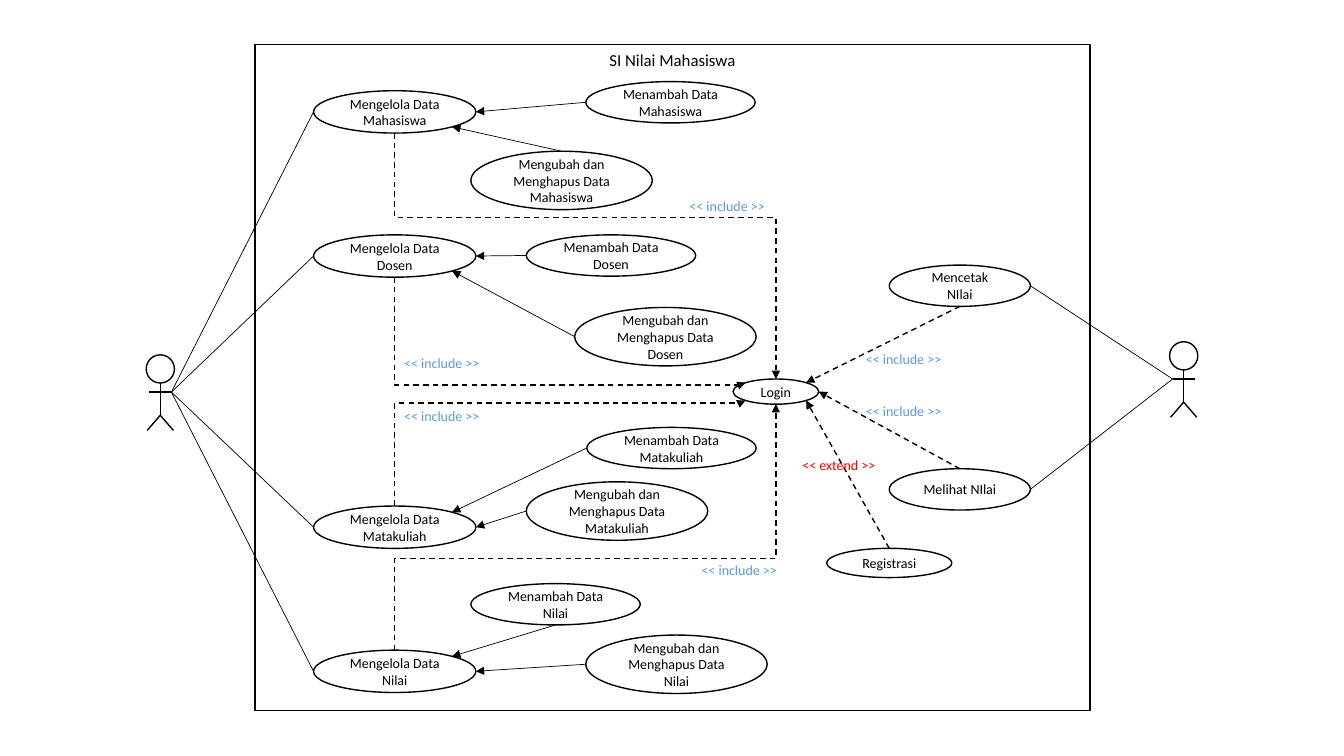
import pptx
import pptx.util
import pptx.dml.color
import pptx.enum.dml
import pptx.enum.shapes
import pptx.enum.text
import pptx.oxml.ns
import pptx.oxml.xmlchemy
from pptx.util import Inches

COLORS = {"ink": "000000", "paper": "FFFFFF", "include": "5B9BD5", "extend": "FF0000"}
SHAPE = pptx.enum.shapes.MSO_SHAPE
LINE = pptx.enum.shapes.MSO_CONNECTOR
ALIGN = pptx.enum.text.PP_ALIGN
ANCHOR = pptx.enum.text.MSO_ANCHOR
FIT = pptx.enum.text.MSO_AUTO_SIZE

DIAG = 0.7071
SITES = {"N": (0, -1), "S": (0, 1), "W": (-1, 0), "E": (1, 0),
         "NW": (-DIAG, -DIAG), "NE": (DIAG, -DIAG),
         "SW": (-DIAG, DIAG), "SE": (DIAG, DIAG)}

MANAGE, ADD, EDIT, VIEW = (1.61, 0.42), (1.68, 0.41), (1.8, 0.58), (1.4, 0.41)

# subject, top, add (left, top, from, to), edit (left, top, from, to),
# include route (lane height, site on Login)
ROWS = [
    ("Mahasiswa", 0.9, (5.81, 0.81, "W", "E"), (4.67, 1.5, "N", "SE"), (2.16, "N")),
    ("Dosen", 2.33, (5.22, 2.33, "W", "E"), (5.7, 3.05, "W", "SE"), (3.82, "NW")),
    ("Matakuliah", 5.02, (5.82, 4.24, "W", "NE"), (5.22, 4.78, "W", "E"), (4.0, "SW")),
    ("Nilai", 6.45, (4.67, 5.79, "S", "NE"), (5.81, 6.3, "W", "E"), (5.54, "S")),
]

# text, left, top, size, from, to Login
GUESTS = [
    ("Mencetak NIlai", 8.82, 2.63, VIEW, "S", "NE"),
    ("Melihat NIlai", 8.82, 4.65, VIEW, "N", "E"),
    ("Registrasi", 8.2, 5.44, (1.24, 0.29), "N", "SE"),
]

LABELS = [("include", 6.74, 1.91), ("include", 6.86, 5.52), ("include", 3.91, 3.99),
          ("include", 3.91, 3.47), ("include", 8.49, 3.94), ("include", 8.49, 3.43),
          ("extend", 7.86, 4.48)]


def rgb(name):
    return pptx.dml.color.RGBColor.from_string(COLORS[name])


def node(home, tag, **attrs):
    """Append an XML element to home."""
    child = pptx.oxml.xmlchemy.OxmlElement(tag)
    for key, value in attrs.items():
        child.set(key, value)
    home.append(child)


def write(frame, text, size=10, color="ink", align=ALIGN.CENTER,
          anchor=ANCHOR.MIDDLE, wrap=True):
    frame.word_wrap = wrap
    frame.vertical_anchor = anchor
    par = frame.paragraphs[0]
    par.alignment = align
    run = par.add_run()
    run.text = text
    run.font.name = "Calibri"
    run.font.size = pptx.util.Pt(size)
    run.font.color.rgb = rgb(color)


def block(shapes, kind, left, top, size, fill=True):
    shape = shapes.add_shape(kind, Inches(left), Inches(top), *map(Inches, size))
    shape.shadow.inherit = False
    if fill:
        shape.fill.solid()
        shape.fill.fore_color.rgb = rgb("paper")
    else:
        shape.fill.background()
    shape.line.color.rgb = rgb("ink")
    shape.line.width = pptx.util.Pt(1)
    return shape


def oval(shapes, text, left, top, size):
    shape = block(shapes, SHAPE.OVAL, left, top, size)
    write(shape.text_frame, text)
    return shape


def site(shape, name):
    """Point on an oval's edge, in EMU."""
    dx, dy = SITES[name]
    return (int(shape.left + shape.width * (1 + dx) / 2),
            int(shape.top + shape.height * (1 + dy) / 2))


def link(shapes, start, end, width=0.5, dash=False, arrow=False, kind=LINE.STRAIGHT):
    line = shapes.add_connector(kind, *start, *end)
    line.line.color.rgb = rgb("ink")
    line.line.width = pptx.util.Pt(width)
    if dash:
        line.line.dash_style = pptx.enum.dml.MSO_LINE.DASH
    if arrow:
        node(line.get_or_add_ln(), "a:tailEnd", type="triangle")
    node(line._element.spPr, "a:effectLst")
    return line


def route(shapes, start, end, lane):
    """Elbow that leaves vertically and crosses over at the height lane."""
    (x0, y0), (x1, y1) = start, end
    half_w, half_h = abs(y1 - y0) // 2, abs(x1 - x0) // 2
    mid_x, mid_y = (x0 + x1) // 2, (y0 + y1) // 2
    down = y1 > y0
    sign = 1 if down else -1
    # Before the quarter turn the frame has its width and height swapped.
    line = link(shapes, (mid_x + half_w, mid_y - sign * half_h),
                (mid_x - half_w, mid_y + sign * half_h),
                width=1, dash=True, arrow=True, kind=LINE.ELBOW)
    line.rotation = 0
    props = line._element.spPr
    props.find(pptx.oxml.ns.qn("a:xfrm")).set("rot", "16200000" if down else "5400000")
    guides = props.find(pptx.oxml.ns.qn("a:prstGeom")).find(pptx.oxml.ns.qn("a:avLst"))
    ratio = (Inches(lane) - y0) / (y1 - y0)
    node(guides, "a:gd", name="adj1", fmla=f"val {round(100000 * ratio)}")


def actor(shapes, mid, top):
    """Stick figure."""
    group = shapes.add_group_shape().shapes
    block(group, SHAPE.OVAL, mid - 0.14, top, (0.28, 0.28), fill=False)
    limbs = [(0, 0.28, 0, 0.6), (0, 0.6, 0.13, 0.75),
             (0, 0.6, -0.13, 0.75), (-0.11, 0.37, 0.11, 0.37)]
    for x0, y0, x1, y1 in limbs:
        link(group, (Inches(mid + x0), Inches(top + y0)),
             (Inches(mid + x1), Inches(top + y1)), width=1)


def main():
    deck = pptx.Presentation()
    deck.slide_width, deck.slide_height = Inches(13.33), Inches(7.5)
    shapes = deck.slides.add_slide(deck.slide_layouts[6]).shapes

    actor(shapes, 1.59, 3.52)
    actor(shapes, 11.74, 3.39)
    staff = Inches(1.7), Inches(3.89)
    student = Inches(11.63), Inches(3.76)

    system = block(shapes, SHAPE.RECTANGLE, 2.53, 0.44, (8.28, 6.61))
    write(system.text_frame, "SI Nilai Mahasiswa", size=12, anchor=ANCHOR.TOP)
    login = oval(shapes, "Login", 7.27, 3.76, (0.85, 0.25))

    for subject, top, add, edit, (lane, goal) in ROWS:
        manage = oval(shapes, f"Mengelola Data {subject}", 3.11, top, MANAGE)
        tasks = [("Menambah Data", ADD, add), ("Mengubah dan Menghapus Data", EDIT, edit)]
        for verb, size, (left, high, start, end) in tasks:
            task = oval(shapes, f"{verb} {subject}", left, high, size)
            link(shapes, site(task, start), site(manage, end), arrow=True)
        leave = "S" if lane > top else "N"
        route(shapes, site(manage, leave), site(login, goal), lane)
        link(shapes, site(manage, "W"), staff)

    for text, left, top, size, start, end in GUESTS:
        case = oval(shapes, text, left, top, size)
        link(shapes, site(case, start), site(login, end), width=1, dash=True, arrow=True)
        if size == VIEW:
            link(shapes, student, site(case, "E"))

    for word, left, top in LABELS:
        box = shapes.add_textbox(Inches(left), Inches(top), Inches(0.96), Inches(0.27))
        write(box.text_frame, f"<< {word} >>", color=word, align=ALIGN.LEFT,
              anchor=ANCHOR.TOP, wrap=False)
        box.text_frame.auto_size = FIT.SHAPE_TO_FIT_TEXT

    deck.save("out.pptx")


if __name__ == "__main__":
    main()
